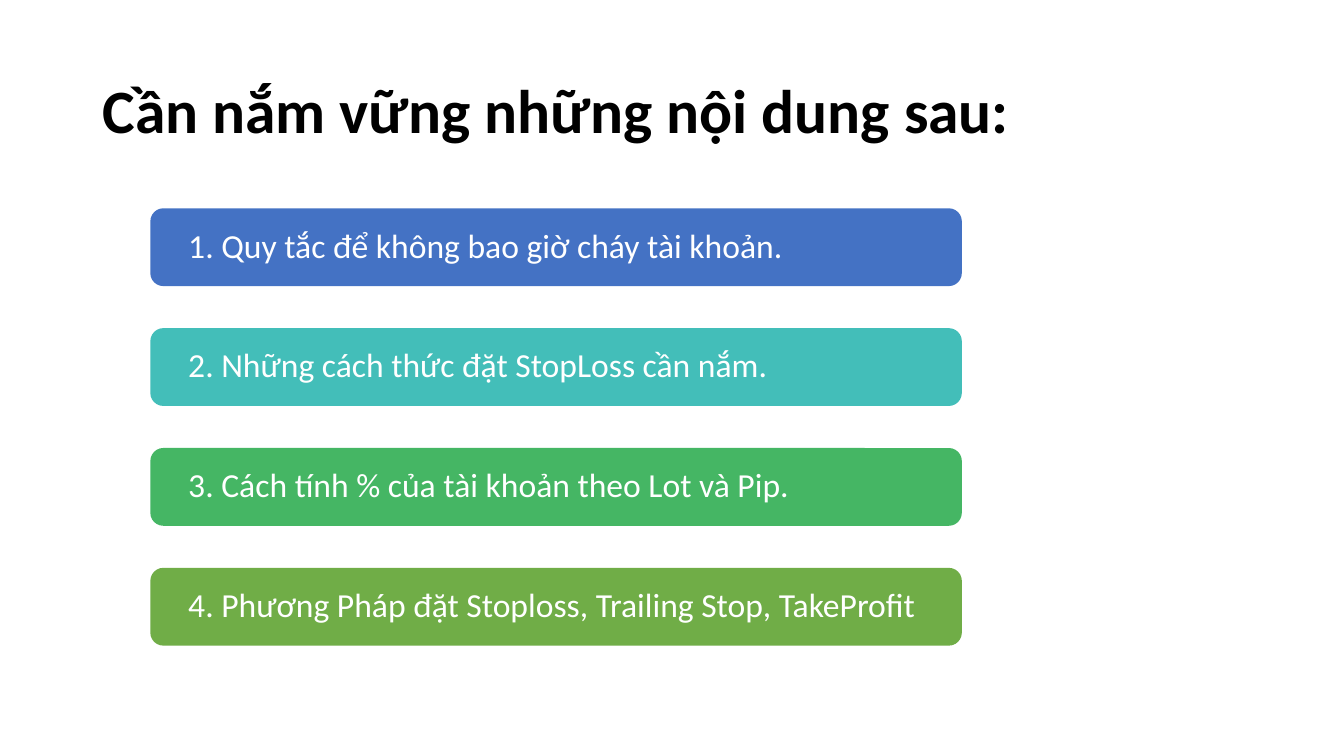
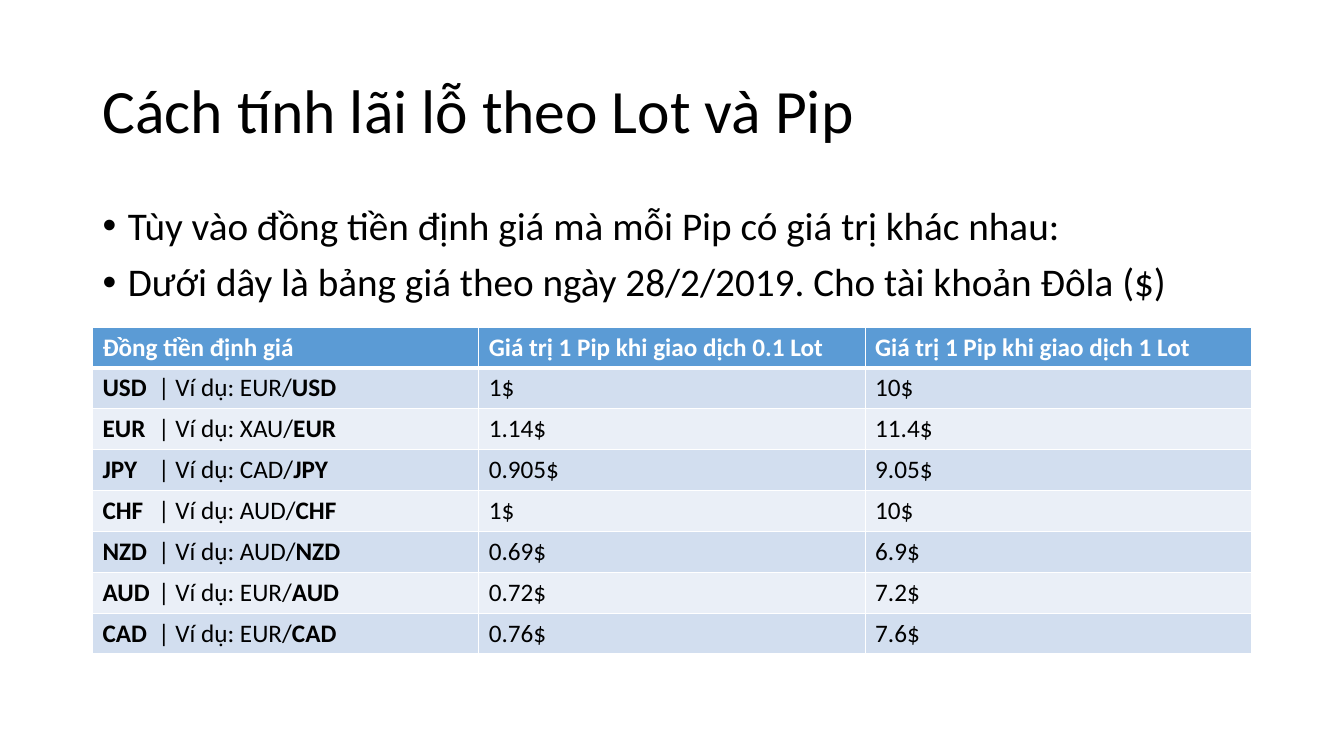
"""Build two slides on stop-loss topics and pip values."""
from dataclasses import dataclass

from lxml import etree
from pptx import Presentation
from pptx.dml.color import RGBColor
from pptx.enum import shapes, text
from pptx.oxml.ns import qn
from pptx.util import Cm, Pt

TOPICS_TITLE = "Cần nắm vững những nội dung sau:"
TOPICS = [
    ("1. Quy tắc để không bao giờ cháy tài khoản.", "4472C4"),
    ("2. Những cách thức đặt StopLoss cần nắm.", "43BEB9"),
    ("3. Cách tính % của tài khoản theo Lot và Pip.", "45B664"),
    ("4. Phương Pháp đặt Stoploss, Trailing Stop, TakeProfit", "70AD47"),
]
PIP_TITLE = "Cách tính lãi lỗ theo Lot và Pip"
PIP_NOTES = [
    "Tùy vào đồng tiền định giá mà mỗi Pip có giá trị khác nhau:",
    "Dưới dây là bảng giá theo ngày 28/2/2019. Cho tài khoản Đôla ($)",
]
PIP_HEADER = [
    "Đồng tiền định giá",
    "Giá trị 1 Pip khi giao dịch 0.1 Lot",
    "Giá trị 1 Pip khi giao dịch 1 Lot",
]
PIP_VALUES = [
    ("USD", "EUR", "1$", "10$"),
    ("EUR", "XAU", "1.14$", "11.4$"),
    ("JPY", "CAD", "0.905$", "9.05$"),
    ("CHF", "AUD", "1$", "10$"),
    ("NZD", "AUD", "0.69$", "6.9$"),
    ("AUD", "EUR", "0.72$", "7.2$"),
    ("CAD", "EUR", "0.76$", "7.6$"),
]


@dataclass(frozen=True)
class Theme:
    """Colours, font and type sizes of the deck."""
    font: str = "Calibri"
    ink: str = "000000"
    paper: str = "FFFFFF"
    header: str = "5B9BD5"
    bands: tuple = ("D2DEEF", "EAEFF7")
    title: int = 44
    body: int = 28
    card: int = 24
    table: int = 18


THEME = Theme()
LEFT, WIDTH = 2.33, 29.21


def style(para, size, color, bold=None):
    """Set the font of a whole paragraph."""
    font = para.font
    font.name, font.size, font.bold = THEME.font, Pt(size), bold
    font.color.rgb = RGBColor.from_string(color)


def place(shape, left, top, width, height):
    """Move and size a shape, in centimetres."""
    shape.left, shape.top = Cm(left), Cm(top)
    shape.width, shape.height = Cm(width), Cm(height)


def paint(target, color):
    """Fill a shape or cell with one colour."""
    target.fill.solid()
    target.fill.fore_color.rgb = RGBColor.from_string(color)


def add_page(deck, layout, title):
    """Add a slide with the shared title style."""
    page = deck.slides.add_slide(deck.slide_layouts.get_by_name(layout))
    box = page.shapes.title
    place(box, LEFT, 1.01, WIDTH, 3.68)
    frame = box.text_frame
    frame.text = title
    frame.auto_size = text.MSO_AUTO_SIZE.NONE
    frame.vertical_anchor = text.MSO_ANCHOR.MIDDLE
    para = frame.paragraphs[0]
    para.alignment, para.line_spacing = text.PP_ALIGN.LEFT, 0.9
    style(para, THEME.title, THEME.ink, title == TOPICS_TITLE)
    return page


def add_topics(page):
    """Stack one rounded card per topic."""
    top, pitch = 5.25, 3.02
    for index, (topic, color) in enumerate(TOPICS):
        card = page.shapes.add_shape(
            shapes.MSO_SHAPE.ROUNDED_RECTANGLE,
            Cm(3.79), Cm(top + index * pitch), Cm(20.45), Cm(1.96))
        card.shadow.inherit = False
        paint(card, color)
        card.line.fill.background()
        frame = card.text_frame
        frame.text = topic
        frame.vertical_anchor = text.MSO_ANCHOR.MIDDLE
        frame.margin_left = frame.margin_right = Cm(0.86)
        frame.margin_top = frame.margin_bottom = 0
        para = frame.paragraphs[0]
        para.alignment, para.line_spacing = text.PP_ALIGN.LEFT, 0.9
        style(para, THEME.card, THEME.paper)


def add_notes(page):
    """Fill the body placeholder with the bulleted notes."""
    box = page.placeholders[1]
    place(box, LEFT, 5.08, 28.19, 3.17)
    frame = box.text_frame
    frame.auto_size = text.MSO_AUTO_SIZE.NONE
    frame.text = "\n".join(PIP_NOTES)
    for para in frame.paragraphs:
        para.line_spacing, para.space_before = 0.9, Pt(10)
        style(para, THEME.body, THEME.ink)
        properties = para._p.get_or_add_pPr()
        properties.set("marL", str(Cm(0.64)))
        properties.set("indent", str(-Cm(0.64)))


def add_borders(cell, top, bottom):
    """Draw white cell borders with the given top and bottom weights."""
    properties = cell._tc.get_or_add_tcPr()
    for side, weight in zip("LRTB", (1, 1, top, bottom)):
        line = etree.SubElement(properties, qn(f"a:ln{side}"), w=str(Pt(weight)))
        fill = etree.SubElement(line, qn("a:solidFill"))
        etree.SubElement(fill, qn("a:srgbClr"), val=THEME.paper)


def add_tab_stop(para, position):
    """Put a left tab stop in a paragraph."""
    properties = para._p.get_or_add_pPr()
    stops = etree.Element(qn("a:tabLst"))
    etree.SubElement(stops, qn("a:tab"), pos=str(Cm(position)), algn="l")
    properties.insert(0, stops)


def add_pip_table(page):
    """Add the table of pip values with banded rows."""
    rows = [[[(label, True)] for label in PIP_HEADER]]
    for quote, base, small, large in PIP_VALUES:
        pair = [(quote, True), (f"\t| Ví dụ: {base}/", False), (quote, True)]
        rows.append([pair, [(small, False)], [(large, False)]])
    row_height = 1.03
    table = page.shapes.add_table(
        len(rows), len(PIP_HEADER), Cm(LEFT), Cm(8.24),
        Cm(WIDTH), Cm(row_height * len(rows))).table
    for row, spans_by_cell in enumerate(rows):
        table.rows[row].height = Cm(row_height)
        for column, spans in enumerate(spans_by_cell):
            cell = table.cell(row, column)
            add_borders(cell, 3 if row == 1 else 1, 3 if row == 0 else 1)
            paint(cell, THEME.bands[(row - 1) % 2] if row else THEME.header)
            para = cell.text_frame.paragraphs[0]
            style(para, THEME.table, THEME.ink if row else THEME.paper)
            if len(spans) > 1:
                add_tab_stop(para, 1.4)
            for words, bold in spans:
                span = para.add_run()
                span.text, span.font.bold = words, bold


def main():
    """Build and save the deck."""
    deck = Presentation()
    deck.slide_width, deck.slide_height = Cm(33.87), Cm(19.05)
    add_topics(add_page(deck, "Title Only", TOPICS_TITLE))
    page = add_page(deck, "Title and Content", PIP_TITLE)
    add_notes(page)
    add_pip_table(page)
    deck.save("out.pptx")


main()
